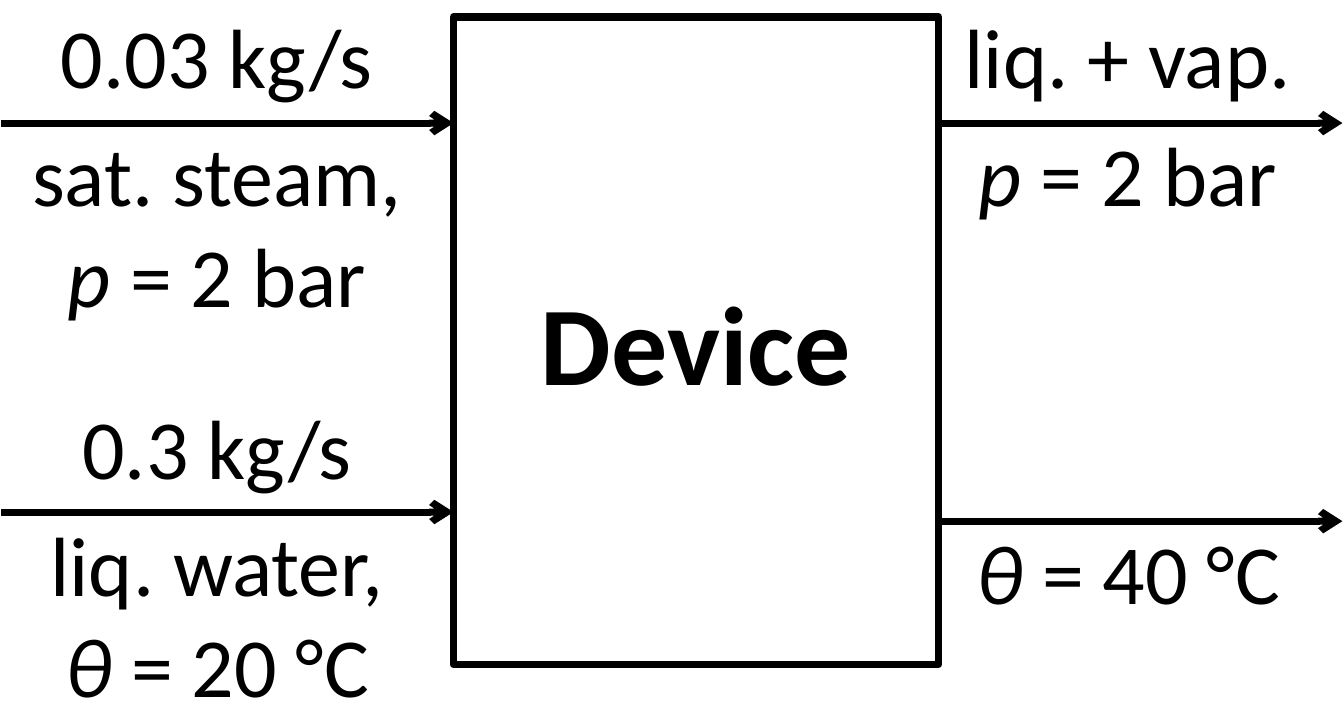
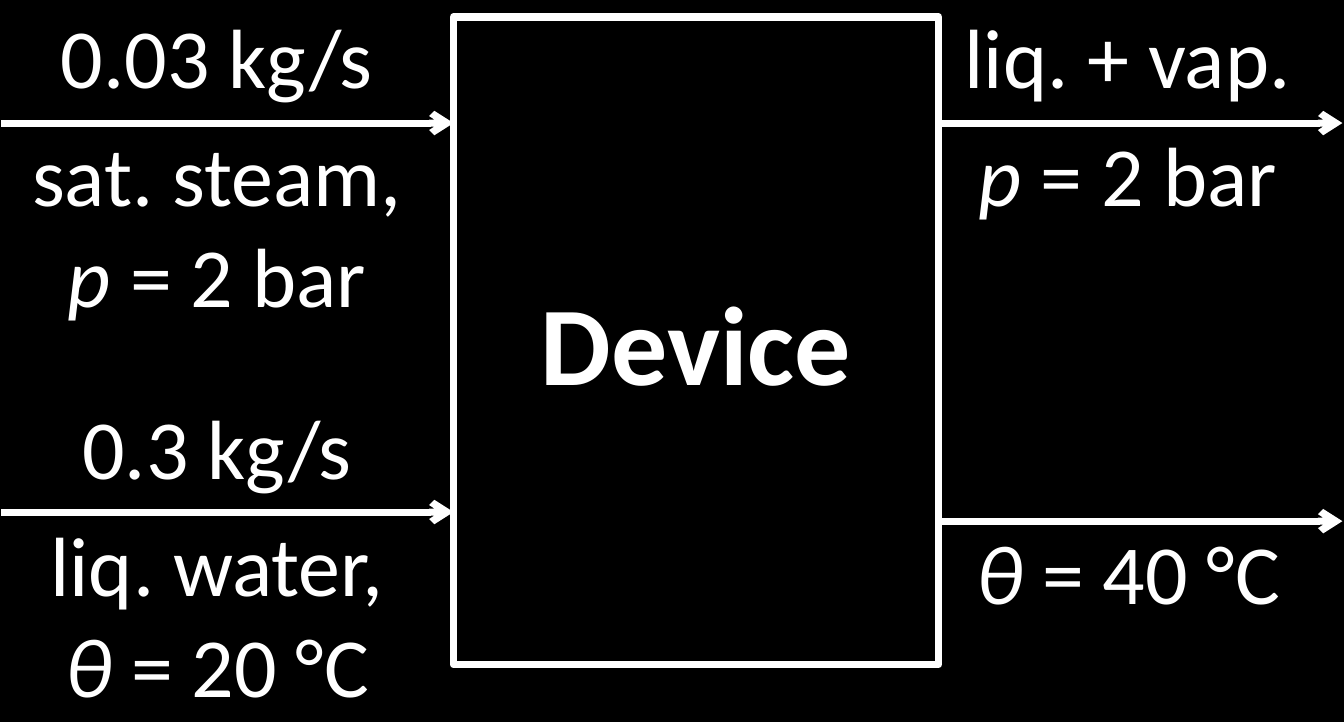
from lxml import etree
from pptx import Presentation
from pptx.dml.color import RGBColor
from pptx.enum import shapes, text
from pptx.oxml.ns import qn
from pptx.util import Cm, Pt

COLORS = {"black": "000000", "white": "FFFFFF"}
FONT = "Calibri"
BREAK = "\n"

BOX_LEFT, BOX_TOP, BOX_WIDTH, BOX_HEIGHT = 11.43, 0.43, 12.22, 16.31
# start x, end x, y
FLOWS = [
    (0.03, BOX_LEFT, 3.1),
    (0.03, BOX_LEFT, 12.9),
    (23.57, 33.83, 13.13),
    (23.57, 33.83, 3.1),
]
# left, top, width, height, paragraphs of (text, italic) runs
STEAM_PRESSURE = [("p", True), (" = 2 bar", False)]
LABELS = [
    (0.3, 0, 10.34, 8.38, [
        [("0.03 kg/s", False)],
        [("sat. steam,", False), (BREAK, False), *STEAM_PRESSURE]]),
    (0.74, 9.83, 9.47, 8.38, [
        [("0.3 kg/s", False)],
        [("liq. water,", False), (BREAK, False),
         ("θ", True), (" = 20 °C", False)]]),
    (24.03, 13, 8.81, 2.82, [[("θ", True), (" = 40 °C", False)]]),
    (23.77, 0, 9.3, 5.82, [[("liq. + vap.", False)], STEAM_PRESSURE]),
]


class Diagram:
    """One slide with a grouped flow diagram in two colours."""

    def __init__(self, prs, ink, paper):
        self.ink = RGBColor.from_string(COLORS[ink])
        s = prs.slides.add_slide(prs.slide_layouts[6])
        s.background.fill.solid()
        s.background.fill.fore_color.rgb = RGBColor.from_string(COLORS[paper])
        self.shapes = s.shapes.add_group_shape().shapes

    def outline(self, sp, width):
        sp.line.color.rgb = self.ink
        sp.line.width = Pt(width)

    def run(self, p, words, size, bold=False, italic=False):
        r = p.add_run()
        r.text = words
        r.font.name, r.font.size = FONT, Pt(size)
        r.font.bold, r.font.italic = bold, italic
        r.font.color.rgb = self.ink

    def box(self, left, top, width, height, title):
        sp = self.shapes.add_shape(shapes.MSO_SHAPE.RECTANGLE, Cm(left),
                                   Cm(top), Cm(width), Cm(height))
        sp.shadow.inherit = False
        sp.fill.background()
        self.outline(sp, 5.5)
        tf = sp.text_frame
        tf.vertical_anchor = text.MSO_ANCHOR.MIDDLE
        p = tf.paragraphs[0]
        p.alignment = text.PP_ALIGN.CENTER
        self.run(p, title, 80, bold=True)

    def arrow(self, x1, x2, y):
        line = self.shapes.add_connector(shapes.MSO_CONNECTOR.STRAIGHT,
                                         Cm(x1), Cm(y), Cm(x2), Cm(y))
        self.outline(line, 5)
        etree.SubElement(line.line._get_or_add_ln(), qn("a:tailEnd"),
                         type="arrow")
        etree.SubElement(line._element.spPr, qn("a:effectLst"))

    def label(self, left, top, width, height, paragraphs):
        tf = self.shapes.add_textbox(Cm(left), Cm(top), Cm(width),
                                     Cm(height)).text_frame
        tf.word_wrap = False
        tf.auto_size = text.MSO_AUTO_SIZE.SHAPE_TO_FIT_TEXT
        for i, runs in enumerate(paragraphs):
            p = tf.add_paragraph() if i else tf.paragraphs[0]
            p.alignment = text.PP_ALIGN.CENTER
            p.space_after = Pt(12)
            for words, italic in runs:
                if words == BREAK:
                    p.add_line_break()
                else:
                    self.run(p, words, 60, italic=italic)


def main():
    prs = Presentation()
    prs.slide_width, prs.slide_height = Cm(33.87), Cm(18.19)
    for ink, paper in (("black", "white"), ("white", "black")):
        diagram = Diagram(prs, ink, paper)
        diagram.box(BOX_LEFT, BOX_TOP, BOX_WIDTH, BOX_HEIGHT, "Device")
        for flow in FLOWS:
            diagram.arrow(*flow)
        for label in LABELS:
            diagram.label(*label)
    prs.save("out.pptx")


if __name__ == "__main__":
    main()
